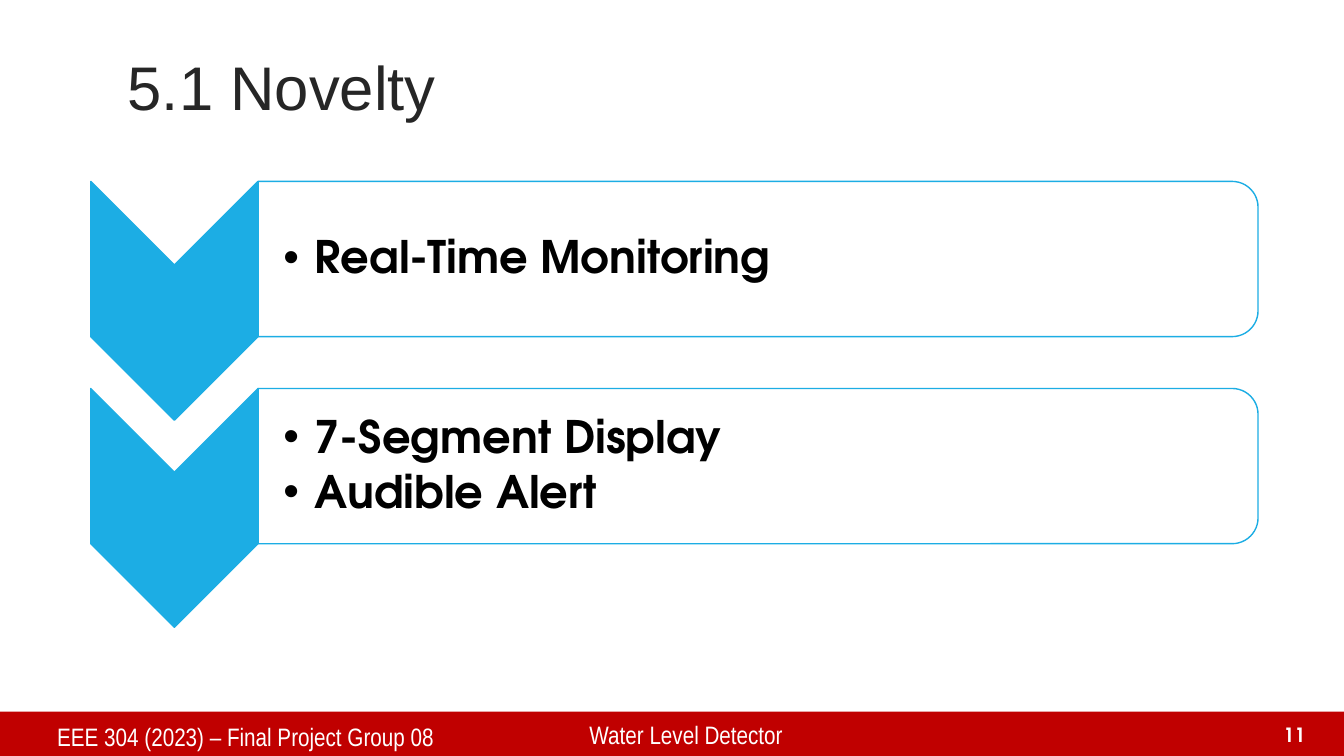
from lxml import etree
from pptx import Presentation
from pptx.dml.color import RGBColor
from pptx.enum.shapes import MSO_SHAPE
from pptx.enum.text import MSO_ANCHOR, PP_ALIGN
from pptx.oxml.ns import qn
from pptx.util import Pt

RECTANGLE = MSO_SHAPE.RECTANGLE
CHEVRON = MSO_SHAPE.CHEVRON
ROUNDED_CARD = MSO_SHAPE.ROUND_2_SAME_RECTANGLE
TOP, MIDDLE, BOTTOM = MSO_ANCHOR.TOP, MSO_ANCHOR.MIDDLE, MSO_ANCHOR.BOTTOM
LEFT, RIGHT = PP_ALIGN.LEFT, PP_ALIGN.RIGHT

RED = RGBColor(0xC0, 0x00, 0x00)
BLUE = RGBColor(0x1C, 0xAD, 0xE4)
WHITE = RGBColor(0xFF, 0xFF, 0xFF)
BLACK = RGBColor(0x00, 0x00, 0x00)
CHARCOAL = RGBColor(0x26, 0x26, 0x26)

TITLE = {"name": "Arial", "size": Pt(44), "color": CHARCOAL}
FEATURE = {"name": "TeX Gyre Adventor", "size": Pt(32), "bold": True, "color": BLACK}
FOOTER = {"name": "Arial Narrow", "size": Pt(18), "color": WHITE}
PAGE = {"name": "TeX Gyre Adventor", "size": Pt(14), "bold": True, "color": WHITE}

FEATURES = [
    ["Real-Time Monitoring"],
    ["7-Segment Display", "Audible Alert"],
]
FIRST_ROW = 129.6
ROW_PITCH = 147.9


class NoveltySlide:
    def __init__(self, deck):
        self.slide = deck.slides.add_slide(deck.slide_layouts[6])

    def shape(self, kind, left, top, width, height, fill, line=None, turned=False):
        if turned:
            left += (width - height) / 2
            top += (height - width) / 2
            width, height = height, width
        item = self.slide.shapes.add_shape(kind, Pt(left), Pt(top), Pt(width), Pt(height))
        item.shadow.inherit = False
        item.rotation = 90 if turned else 0
        item.fill.solid()
        item.fill.fore_color.rgb = fill
        if line is None:
            item.line.fill.background()
        else:
            item.line.color.rgb = line
            item.line.width = Pt(1)
        return item

    def text(self, left, top, width, height, lines, style, anchor=TOP, align=LEFT,
             insets=(7.2, 3.6, 7.2, 3.6), bullets=False, spacing=None):
        box = self.slide.shapes.add_textbox(Pt(left), Pt(top), Pt(width), Pt(height))
        frame = box.text_frame
        margins = zip(("margin_left", "margin_top", "margin_right", "margin_bottom"), insets)
        settings = {"word_wrap": True, "vertical_anchor": anchor}
        settings.update((side, Pt(inset)) for side, inset in margins)
        for attribute, value in settings.items():
            setattr(frame, attribute, value)
        for index, line in enumerate(lines):
            paragraph = frame.add_paragraph() if index else frame.paragraphs[0]
            paragraph.alignment = align
            paragraph.line_spacing = spacing
            if bullets:
                paragraph.space_after = Pt(4.8)
                self.bullet(paragraph)
            run = paragraph.add_run()
            run.text = line
            for attribute, value in style.items():
                if attribute == "color":
                    run.font.color.rgb = value
                else:
                    setattr(run.font, attribute, value)

    def bullet(self, paragraph):
        properties = paragraph._p.get_or_add_pPr()
        properties.set("marL", str(Pt(22.5)))
        properties.set("indent", str(-Pt(22.5)))
        font = etree.SubElement(properties, qn("a:buFont"))
        font.set("typeface", "Arial")
        mark = etree.SubElement(properties, qn("a:buChar"))
        mark.set("char", "•")

    def feature(self, top, lines):
        self.shape(CHEVRON, 64.8, top, 119.5, 170.6, BLUE, BLUE, turned=True)
        card = self.shape(ROUNDED_CARD, 184.4, top, 714.2, 110.9, WHITE, BLUE, turned=True)
        color = card.fill._xPr.find(qn("a:solidFill"))[0]
        etree.SubElement(color, qn("a:alpha")).set("val", "90000")
        self.text(184.4, top + 5.4, 709.2, 100.1, lines, FEATURE, MIDDLE,
                  insets=(18, 1.6, 1.6, 1.6), bullets=True, spacing=0.9)


def main():
    deck = Presentation()
    deck.slide_width, deck.slide_height = Pt(960), Pt(540)
    novelty = NoveltySlide(deck)
    novelty.shape(RECTANGLE, 0, 508.3, 960, 31.7, RED)
    novelty.text(84.2, 36, 792, 57.6, ["5.1 Novelty"], TITLE, MIDDLE, spacing=0.9)
    for row, lines in enumerate(FEATURES):
        novelty.feature(FIRST_ROW + row * ROW_PITCH, lines)
    novelty.text(898.6, 511.9, 41, 24.5, ["11"], PAGE, BOTTOM, RIGHT)
    novelty.text(33.8, 511.9, 380.2, 29.1, ["EEE 304 (2023) – Final Project Group 08"], FOOTER)
    novelty.text(414, 510.5, 484.6, 29.1, ["Water Level Detector"], FOOTER)
    deck.save("out.pptx")


if __name__ == "__main__":
    main()
